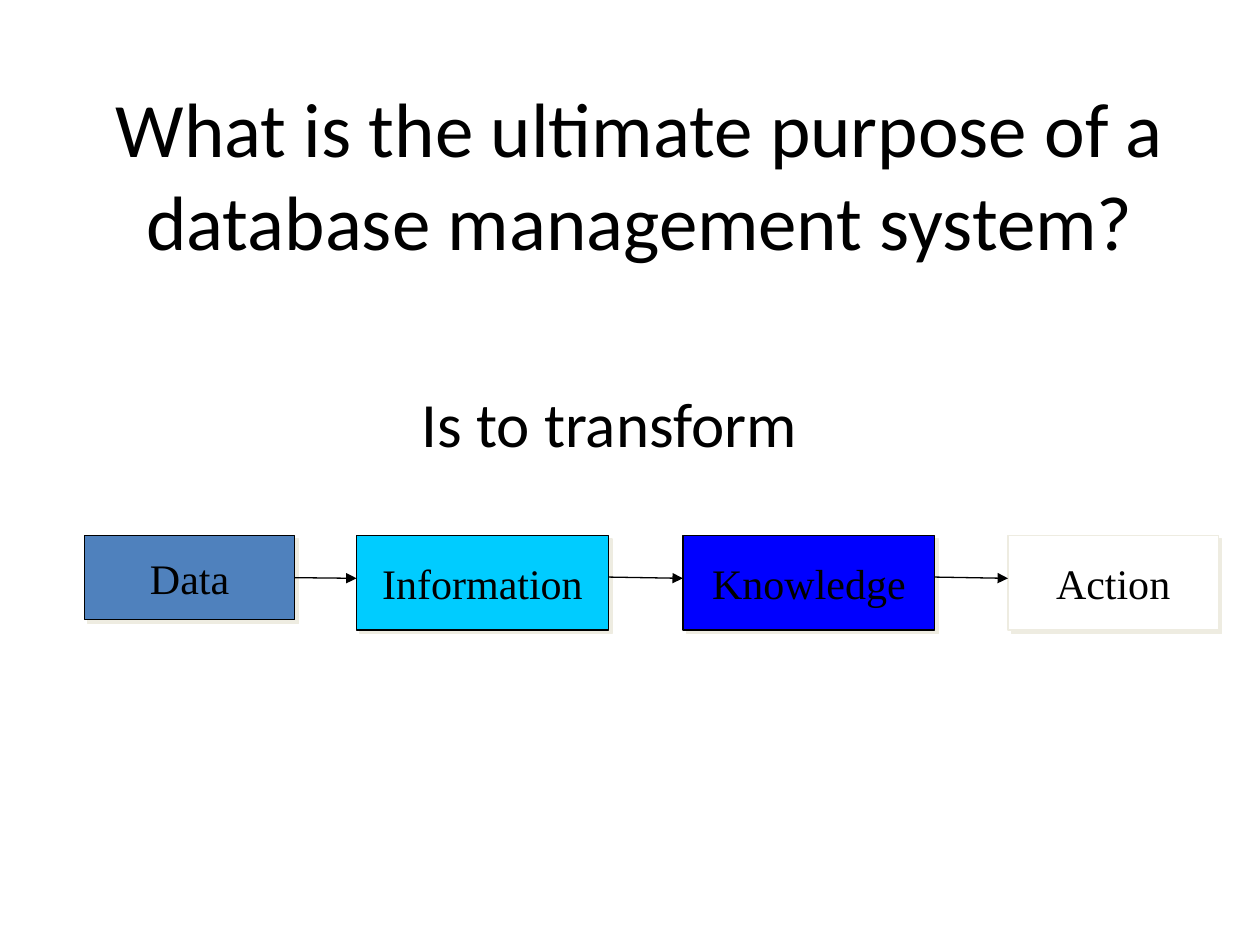
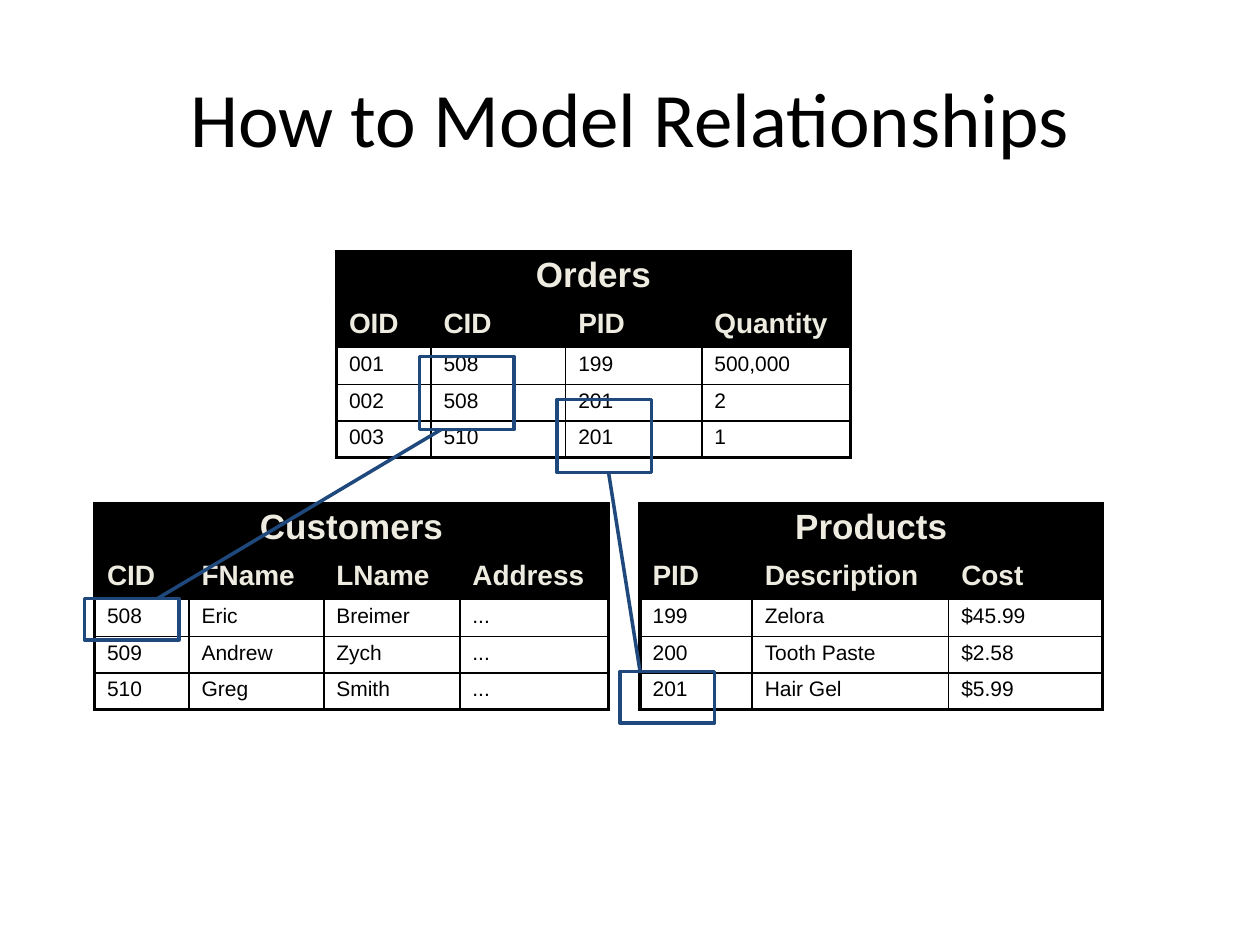
from lxml import etree
from pptx import Presentation
from pptx import util as u
from pptx.dml.color import RGBColor
from pptx.enum import shapes, text
from pptx.oxml.ns import qn

HUES = {
    "ink": "000000", "cream": "EEECE1", "white": "FFFFFF", "steel": "4F81BD",
    "cyan": "00CCFF", "blue": "0000FF", "navy": "1F497D",
}
THIN, THICK = 0.96, 2.21

# Text styles
TITLE = {"name": "Calibri", "size": u.Pt(44), "bold": False}
BODY = {"name": "Calibri", "size": u.Pt(36)}
LABEL = {"name": "Times New Roman", "size": u.Pt(24)}
CAPTION = {"name": "Arial", "size": u.Pt(20), "bold": True}
HEADER = {"name": "Arial", "size": u.Pt(16), "bold": True}
CELL = {"name": "Arial", "size": u.Pt(12), "bold": False}

# Table contents: caption, column widths, header row and data rows
WIDE = [0.75, 1.07, 1.08, 1.18]
HEIGHTS = [0.41, 0.35, 0.29, 0.29, 0.29]
CUSTOMERS = ("Customers", WIDE, [
    ["CID", "FName", "LName", "Address"],
    ["508", "Eric", "Breimer", "..."],
    ["509", "Andrew", "Zych", "..."],
    ["510", "Greg", "Smith", "..."],
])
PRODUCTS = ("Products", [0.89, 1.56, 1.22], [
    ["PID", "Description", "Cost"],
    ["199", "Zelora", "$45.99"],
    ["200", "Tooth Paste", "$2.58"],
    ["201", "Hair Gel", "$5.99"],
])
ORDERS = ("Orders", WIDE, [
    ["OID", "CID", "PID", "Quantity"],
    ["001", "508", "199", "500,000"],
    ["002", "508", "201", "2"],
    ["003", "510", "201", "1"],
])


def rgb(hue):
    return RGBColor.from_string(HUES[hue])


def inches(*sizes):
    return [u.Inches(size) for size in sizes]


def write(frame, words, style, hue="ink", align=text.PP_ALIGN.CENTER):
    frame.text = words
    para = frame.paragraphs[0]
    para.alignment = align
    font = para.runs[0].font
    for key, value in style.items():
        setattr(font, key, value)
    font.color.rgb = rgb(hue)
    return para


def stroke(line, hue, width):
    line.color.rgb = rgb(hue)
    line.width = u.Pt(width)


def add_page(deck, words, *place):
    page = deck.slides.add_slide(deck.slide_layouts[5])
    title = page.shapes.title
    title.left, title.top, title.width, title.height = inches(*place)
    title.text_frame.vertical_anchor = text.MSO_ANCHOR.MIDDLE
    title.text_frame.word_wrap = True
    write(title.text_frame, words, TITLE)
    return page


def add_rect(page, place, hue, width):
    rect = page.shapes.add_shape(shapes.MSO_SHAPE.RECTANGLE, *inches(*place))
    rect.shadow.inherit = False
    rect.fill.background()
    stroke(rect.line, hue, width)
    return rect


def add_step(page, words, place, fill, edge):
    step = add_rect(page, place, edge, 0.75)
    step.fill.solid()
    step.fill.fore_color.rgb = rgb(fill)
    step.text_frame.word_wrap = False
    step.text_frame.vertical_anchor = text.MSO_ANCHOR.MIDDLE
    write(step.text_frame, words, LABEL)
    # Hard shadow to the lower right
    effects = step.element.spPr.find(qn("a:effectLst"))
    shade = etree.SubElement(effects, qn("a:outerShdw"), dist=str(u.Pt(2.8)),
                             dir="2700000", algn="ctr", rotWithShape="0")
    etree.SubElement(shade, qn("a:srgbClr"), val=HUES["cream"])
    return step


def add_line(page, start, end, hue, width, arrow=False):
    line = page.shapes.add_connector(shapes.MSO_CONNECTOR.STRAIGHT,
                                     *inches(*start, *end))
    stroke(line.line, hue, width)
    props = line.element.spPr
    if arrow:
        etree.SubElement(props.find(qn("a:ln")), qn("a:tailEnd"), type="triangle")
    etree.SubElement(props, qn("a:effectLst"))
    return line


def set_edges(cell, thick):
    props = cell._tc.get_or_add_tcPr()
    for side in "LRTB":
        width = THICK if side in thick else THIN
        edge = etree.SubElement(props, qn("a:ln" + side), w=str(u.Pt(width)))
        fill = etree.SubElement(edge, qn("a:solidFill"))
        etree.SubElement(fill, qn("a:srgbClr"), val=HUES["ink"])


def add_grid(page, left, top, data):
    caption, widths, body = data
    rows = [[caption] + [""] * (len(widths) - 1)] + body
    grid = page.shapes.add_table(
        len(rows), len(widths),
        *inches(left, top, sum(widths), sum(HEIGHTS))).table
    grid.first_row = grid.horz_banding = False
    for col, width in zip(grid.columns, widths):
        col.width = u.Inches(width)
    for row, height in zip(grid.rows, HEIGHTS):
        row.height = u.Inches(height)
    grid.cell(0, 0).merge(grid.cell(0, len(widths) - 1))

    levels = [(CAPTION, "cream", 4), (HEADER, "cream", 3.3)]
    for r, row in enumerate(rows):
        style, hue, gap = levels[r] if r < 2 else (CELL, "ink", 2.5)
        align = text.PP_ALIGN.LEFT if r else text.PP_ALIGN.CENTER
        for c, words in enumerate(row):
            cell = grid.cell(r, c)
            # The outer frame is thick, the inner rules are thin
            outer = {"L": c == 0, "R": c == len(row) - 1 or r == 0,
                     "T": r == 0, "B": r == len(rows) - 1}
            set_edges(cell, [side for side in outer if outer[side]])
            if r < 2:
                cell.fill.solid()
                cell.fill.fore_color.rgb = rgb("ink")
            else:
                cell.fill.background()
            if words:
                para = write(cell.text_frame, words, style, hue, align)
                para.line_spacing = 0.93
                para.space_before = u.Pt(gap)


def add_purpose(deck):
    page = add_page(deck, "What is the ultimate purpose of a database "
                    "management system?", 0.58, 0.75, 9, 1.25)
    # Chain of steps
    steps = [
        ("Data", 0.67, 1.67, 0.67, "steel", "ink"),
        ("Information", 2.83, 2, 0.75, "cyan", "ink"),
        ("Knowledge", 5.42, 2, 0.75, "blue", "ink"),
        ("Action", 8, 1.67, 0.75, "white", "cream"),
    ]
    boxes = [add_step(page, words, (left, 4.25, width, height), fill, edge)
             for words, left, width, height, fill, edge in steps]
    arrows = [add_line(page, (a[1] + a[2], 4.58), (b[1], 4.59), "ink", 0.75, True)
              for a, b in zip(steps, steps[1:])]
    arrows[0].begin_connect(boxes[0], 3)
    # Lead-in
    lead = page.shapes.add_textbox(*inches(2.5, 3, 4.67, 0.7)).text_frame
    lead.word_wrap = True
    write(lead, "Is to transform", BODY).space_before = u.Pt(18)


def add_model(deck):
    page = add_page(deck, "How to Model Relationships", 0.5, 0.3, 9, 1.25)
    add_grid(page, 0.75, 4, CUSTOMERS)
    add_grid(page, 5.08, 4, PRODUCTS)
    add_grid(page, 2.67, 2, ORDERS)
    # Matching keys and the links between them
    for left, top, height in [(3.33, 2.83, 0.58), (0.67, 4.75, 0.33),
                              (4.42, 3.17, 0.58), (4.92, 5.33, 0.41)]:
        add_rect(page, (left, top, 0.75, height), "navy", 2)
    add_line(page, (1.25, 4.75), (3.5, 3.41), "navy", 2)
    add_line(page, (5.08, 5.33), (4.83, 3.75), "navy", 2)


def main():
    deck = Presentation()
    deck.slide_width, deck.slide_height = inches(10, 7.5)
    add_purpose(deck)
    add_model(deck)
    deck.save("out.pptx")


if __name__ == "__main__":
    main()
